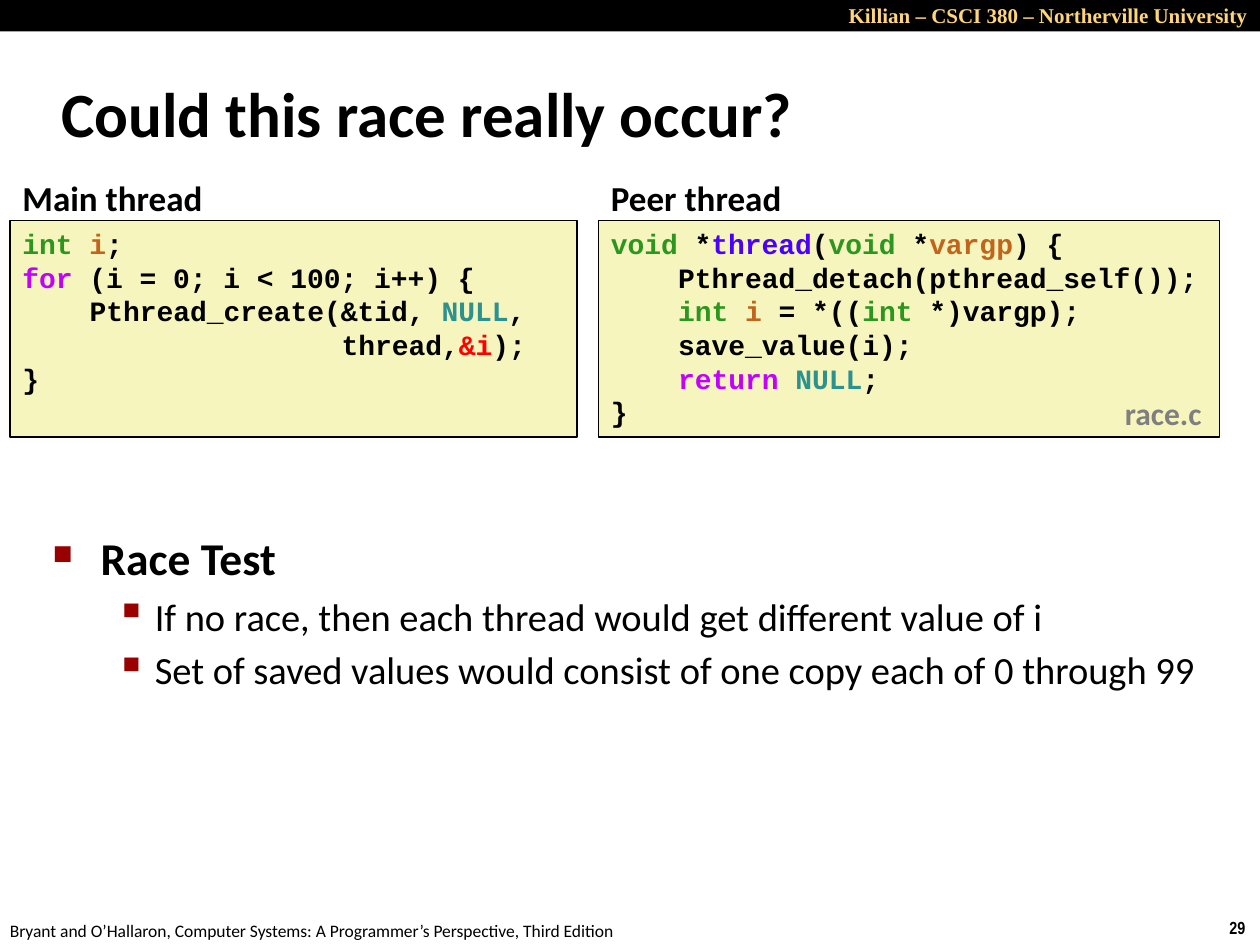
from lxml.etree import SubElement
from pptx import Presentation
from pptx.dml.color import RGBColor
from pptx.enum.shapes import MSO_SHAPE
from pptx.enum.text import MSO_ANCHOR, PP_ALIGN
from pptx.oxml.ns import qn
from pptx.util import Inches, Pt

BLACK = RGBColor(0x00, 0x00, 0x00)
GOLD = RGBColor(0xFF, 0xD5, 0x79)
CREAM = RGBColor(0xF6, 0xF5, 0xBD)
GRAY = RGBColor(0x7F, 0x7F, 0x7F)
TYPE = RGBColor(0x2D, 0x96, 0x1E)
VARIABLE = RGBColor(0xC1, 0x65, 0x1C)
KEYWORD = RGBColor(0xC2, 0x00, 0xFF)
CONSTANT = RGBColor(0x2C, 0x92, 0x90)
FUNCTION = RGBColor(0x4A, 0x00, 0xFF)
RED = RGBColor(0xFF, 0x00, 0x00)
BULLET_COLOR = "990000"

# Each code line: indent in characters, then (text, color) pieces.
MAIN_CODE = [
    (0, [("int ", TYPE), ("i", VARIABLE), (";", BLACK)]),
    (0, [("for", KEYWORD), (" (i = 0; i < 100; i++) {", BLACK)]),
    (4, [("Pthread_create(&tid, ", BLACK), ("NULL", CONSTANT), (",", BLACK)]),
    (19, [("thread,", BLACK), ("&i", RED), (");", BLACK)]),
    (0, [("}", BLACK)]),
]
PEER_CODE = [
    (0, [("void", TYPE), (" *", BLACK), ("thread", FUNCTION), ("(", BLACK),
         ("void", TYPE), (" *", BLACK), ("vargp", VARIABLE), (") {", BLACK)]),
    (4, [("Pthread_detach(pthread_self());", BLACK)]),
    (4, [("int ", TYPE), ("i", VARIABLE), (" = *((", BLACK), ("int", TYPE),
         (" *)vargp);", BLACK)]),
    (4, [("save_value(i);", BLACK)]),
    (4, [("return ", KEYWORD), ("NULL", CONSTANT), (";", BLACK)]),
    (0, [("}", BLACK)]),
]
# Panels: heading, left, width, code.
PANELS = [("Main thread", 0.08, 4.5, MAIN_CODE),
          ("Peer thread", 4.75, 4.93, PEER_CODE)]
PANEL_TOP, PANEL_HEIGHT, HEADING_HEIGHT = 1.75, 1.72, 0.4
CODE_SIZE = 16
CHARACTER_WIDTH = 0.6 * CODE_SIZE
CODE_LEADING = 1.2 * CODE_SIZE

# Labels: text, (left, top, width, height), font, size, color, bold, alignment, wrap.
LABELS = [
    ("29", (9.66, 7.23, 0.34, 0.27), "Arial Narrow", 10, BLACK, True, PP_ALIGN.LEFT, False),
    ("Bryant and O’Hallaron, Computer Systems: A Programmer’s Perspective, Third Edition",
     (-0.02, 7.25, 5.08, 0.27), "Calibri", 10, BLACK, False, PP_ALIGN.LEFT, False),
    ("Killian – CSCI 380 – Northerville University",
     (4.5, -0.03, 5.5, 0.3), "Times New Roman", 12, GOLD, True, PP_ALIGN.RIGHT, True),
    ("Could this race really occur?",
     (0.39, 0.48, 8.3, 0.83), "Calibri", 36, BLACK, True, PP_ALIGN.LEFT, True),
    ("race.c", (8.83, 3.08, 0.82, 0.4), "Calibri", 18, GRAY, True, PP_ALIGN.LEFT, False),
]

BULLETS = [
    (0, "Race Test"),
    (1, "If no race, then each thread would get different value of i"),
    (1, "Set of saved values would consist of one copy each of 0 through 99"),
]
# Per level: bullet, bullet size in percent, margin, hanging indent, text size, bold.
LEVELS = [("■", 60, 0.38, 0.38, 26, True), ("▪", 110, 0.81, 0.31, 22, False)]


def style_font(run, name, size, color, bold):
    run.font.name, run.font.size, run.font.bold = name, Pt(size), bold
    run.font.color.rgb = color


def add_text_box(slide, box, wrap=True):
    shape = slide.shapes.add_textbox(*map(Inches, box))
    shape.text_frame.word_wrap = wrap
    return shape.text_frame


def add_label(slide, text, box, font, size, color, bold, alignment, wrap):
    frame = add_text_box(slide, box, wrap)
    frame.text = text
    frame.vertical_anchor = MSO_ANCHOR.MIDDLE
    paragraph = frame.paragraphs[0]
    paragraph.alignment = alignment
    style_font(paragraph.runs[0], font, size, color, bold)


def add_rectangle(slide, box, fill):
    shape = slide.shapes.add_shape(MSO_SHAPE.RECTANGLE, *map(Inches, box))
    shape.shadow.inherit = False
    shape.fill.solid()
    shape.fill.fore_color.rgb = fill
    shape.line.fill.background()
    return shape


def next_paragraph(frame, index):
    return frame.add_paragraph() if index else frame.paragraphs[0]


def add_panel(slide, heading, left, width, code):
    shape = add_rectangle(slide, (left, PANEL_TOP, width, PANEL_HEIGHT), CREAM)
    shape.line.color.rgb = BLACK
    shape.line.width = Pt(1)
    frame = shape.text_frame
    frame.word_wrap = False
    frame.vertical_anchor = MSO_ANCHOR.TOP
    for index, (indent, pieces) in enumerate(code):
        paragraph = next_paragraph(frame, index)
        paragraph.alignment = PP_ALIGN.LEFT
        paragraph.line_spacing = Pt(CODE_LEADING)
        paragraph._p.get_or_add_pPr().set("marL", str(Pt(indent * CHARACTER_WIDTH)))
        for text, color in pieces:
            run = paragraph.add_run()
            run.text = text
            style_font(run, "Courier New", CODE_SIZE, color, True)
    add_label(slide, heading, (left, PANEL_TOP - HEADING_HEIGHT, width, 0.44),
              "Calibri", 20, BLACK, True, PP_ALIGN.LEFT, True)


def set_bullet(paragraph, character, percent, margin, hanging):
    properties = paragraph._p.get_or_add_pPr()
    properties.set("marL", str(Inches(margin)))
    properties.set("indent", str(-Inches(hanging)))
    before = SubElement(properties, qn("a:spcBef"))
    SubElement(before, qn("a:spcPct"), val="20000")
    color = SubElement(properties, qn("a:buClr"))
    SubElement(color, qn("a:srgbClr"), val=BULLET_COLOR)
    SubElement(properties, qn("a:buSzPct"), val=str(percent * 1000))
    SubElement(properties, qn("a:buChar"), char=character)


def add_bullets(slide):
    frame = add_text_box(slide, (0.32, 4.16, 9.35, 1.44))
    for index, (level, text) in enumerate(BULLETS):
        character, percent, margin, hanging, size, bold = LEVELS[level]
        paragraph = next_paragraph(frame, index)
        paragraph.text = text
        paragraph.level = level
        set_bullet(paragraph, character, percent, margin, hanging)
        style_font(paragraph.runs[0], "Calibri", size, BLACK, bold)


def main():
    presentation = Presentation()
    presentation.slide_width, presentation.slide_height = Inches(10), Inches(7.5)
    slide = presentation.slides.add_slide(presentation.slide_layouts[6])
    add_rectangle(slide, (0, 0, 10, 0.25), BLACK)
    for panel in PANELS:
        add_panel(slide, *panel)
    for label in LABELS:
        add_label(slide, *label)
    add_bullets(slide)
    presentation.save("out.pptx")


if __name__ == "__main__":
    main()
